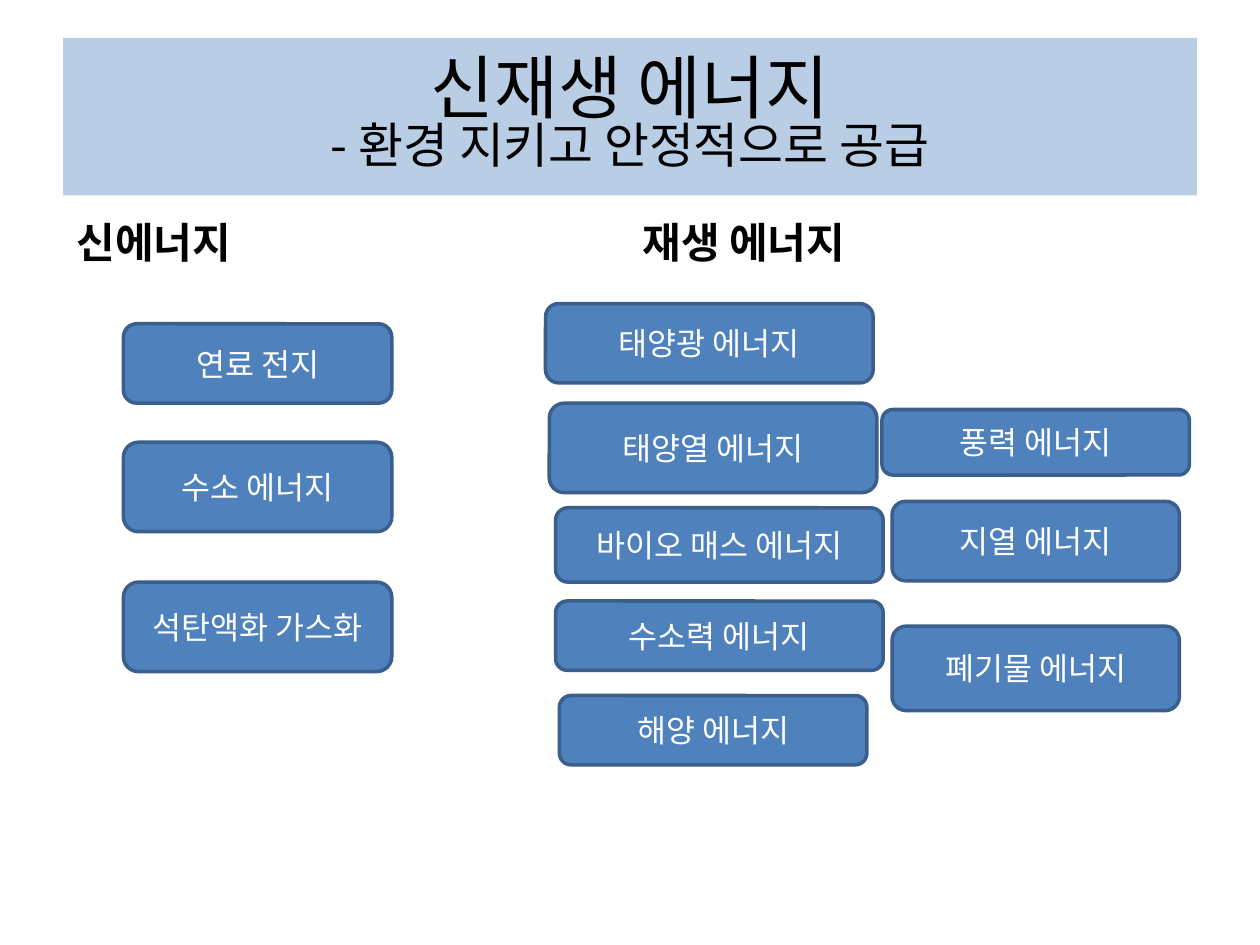
"""Build a slide that sorts new and renewable energy sources into two groups."""
from lxml import etree
from pptx import Presentation
from pptx.dml.color import RGBColor
from pptx.enum import shapes, text
from pptx.oxml.ns import qn
from pptx.util import Inches, Pt

THEME = {
    "font": "Noto Sans CJK KR",
    "banner": RGBColor.from_string("B9CDE5"),
    "box": RGBColor.from_string("4F81BD"),
    "edge": RGBColor.from_string("3A5F8C"),
    "dark": RGBColor.from_string("000000"),
    "light": RGBColor.from_string("FFFFFF"),
    "title": Pt(39.6),
    "subtitle": Pt(27.9),
    "heading": Pt(24),
    "label": Pt(18),
}


def add_words(paragraph, words, size, color, bold=False):
    run = paragraph.add_run()
    run.text = words
    run.font.color.rgb = THEME[color]
    formats = {"name": THEME["font"], "size": THEME[size], "bold": bold}
    for key, value in formats.items():
        setattr(run.font, key, value)
    east_asian = etree.SubElement(run.font._element, qn("a:ea"))
    east_asian.set("typeface", THEME["font"])


def set_frame(frame, anchor, align):
    formats = {"word_wrap": True, "auto_size": text.MSO_AUTO_SIZE.NONE, "vertical_anchor": anchor}
    for key, value in formats.items():
        setattr(frame, key, value)
    frame.paragraphs[0].alignment = align
    return frame.paragraphs[0]


MIDDLE, BOTTOM = text.MSO_ANCHOR.MIDDLE, text.MSO_ANCHOR.BOTTOM
CENTER, LEFT = text.PP_ALIGN.CENTER, text.PP_ALIGN.LEFT

deck = Presentation()
deck.slide_width, deck.slide_height = Inches(10), Inches(7.5)
slide = deck.slides.add_slide(deck.slide_layouts[5])

banner = slide.shapes.title
place = {"left": 0.5, "top": 0.3, "width": 9, "height": 1.25}
for side, length in place.items():
    setattr(banner, side, Inches(length))
banner.fill.solid()
banner.fill.fore_color.rgb = THEME["banner"]
headline = set_frame(banner.text_frame, MIDDLE, CENTER)
headline.line_spacing = 0.8
add_words(headline, "신재생 에너지", "title", "dark")
headline.add_line_break()
add_words(headline, "- 환경 지키고 안정적으로 공급", "subtitle", "dark")

for words, left, width in [("신에너지", 0.51, 2.83), ("재생 에너지", 5, 4.42)]:
    heading = slide.shapes.add_textbox(Inches(left), Inches(1.47), Inches(width), Inches(0.7))
    add_words(set_frame(heading.text_frame, BOTTOM, LEFT), words, "heading", "dark", bold=True)

sources = [
    ("연료 전지", 0.98, 2.57, 2.13, 0.63),
    ("수소 에너지", 0.98, 3.51, 2.13, 0.71),
    ("석탄액화 가스화", 0.98, 4.62, 2.13, 0.71),
    ("태양광 에너지", 4.33, 2.41, 2.6, 0.63),
    ("태양열 에너지", 4.36, 3.2, 2.6, 0.71),
    ("바이오 매스 에너지", 4.41, 4.03, 2.6, 0.59),
    ("수소력 에너지", 4.41, 4.77, 2.6, 0.55),
    ("해양 에너지", 4.44, 5.52, 2.44, 0.55),
    ("풍력 에너지", 7, 3.25, 2.44, 0.52),
    ("지열 에너지", 7.08, 3.98, 2.28, 0.63),
    ("폐기물 에너지", 7.08, 4.97, 2.28, 0.67),
]
for words, *bounds in sources:
    source = slide.shapes.add_shape(shapes.MSO_SHAPE.ROUNDED_RECTANGLE, *map(Inches, bounds))
    source.shadow.inherit = False
    source.fill.solid()
    source.fill.fore_color.rgb = THEME["box"]
    source.line.color.rgb = THEME["edge"]
    source.line.width = Pt(2)
    add_words(set_frame(source.text_frame, MIDDLE, CENTER), words, "label", "light")

deck.save("out.pptx")
